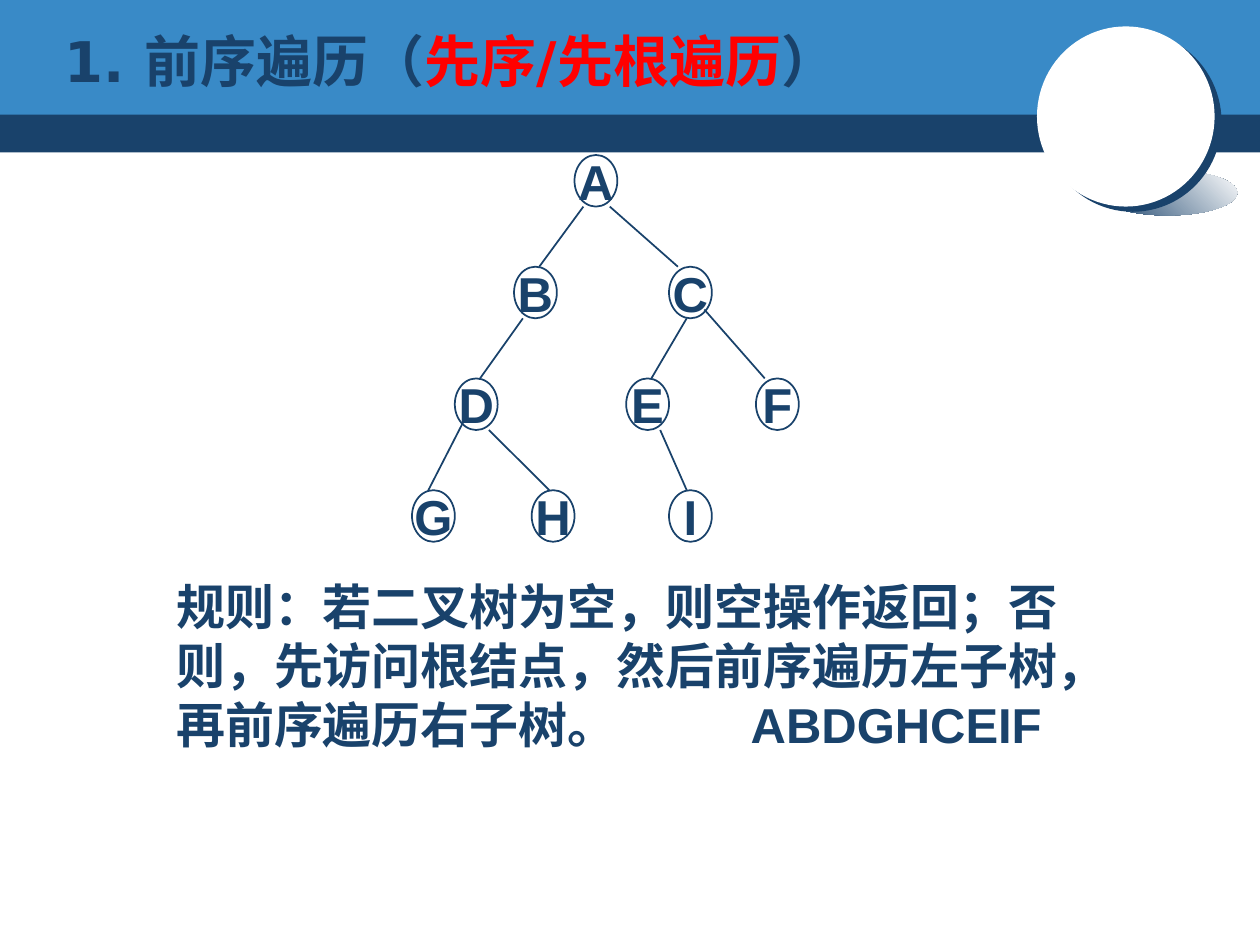
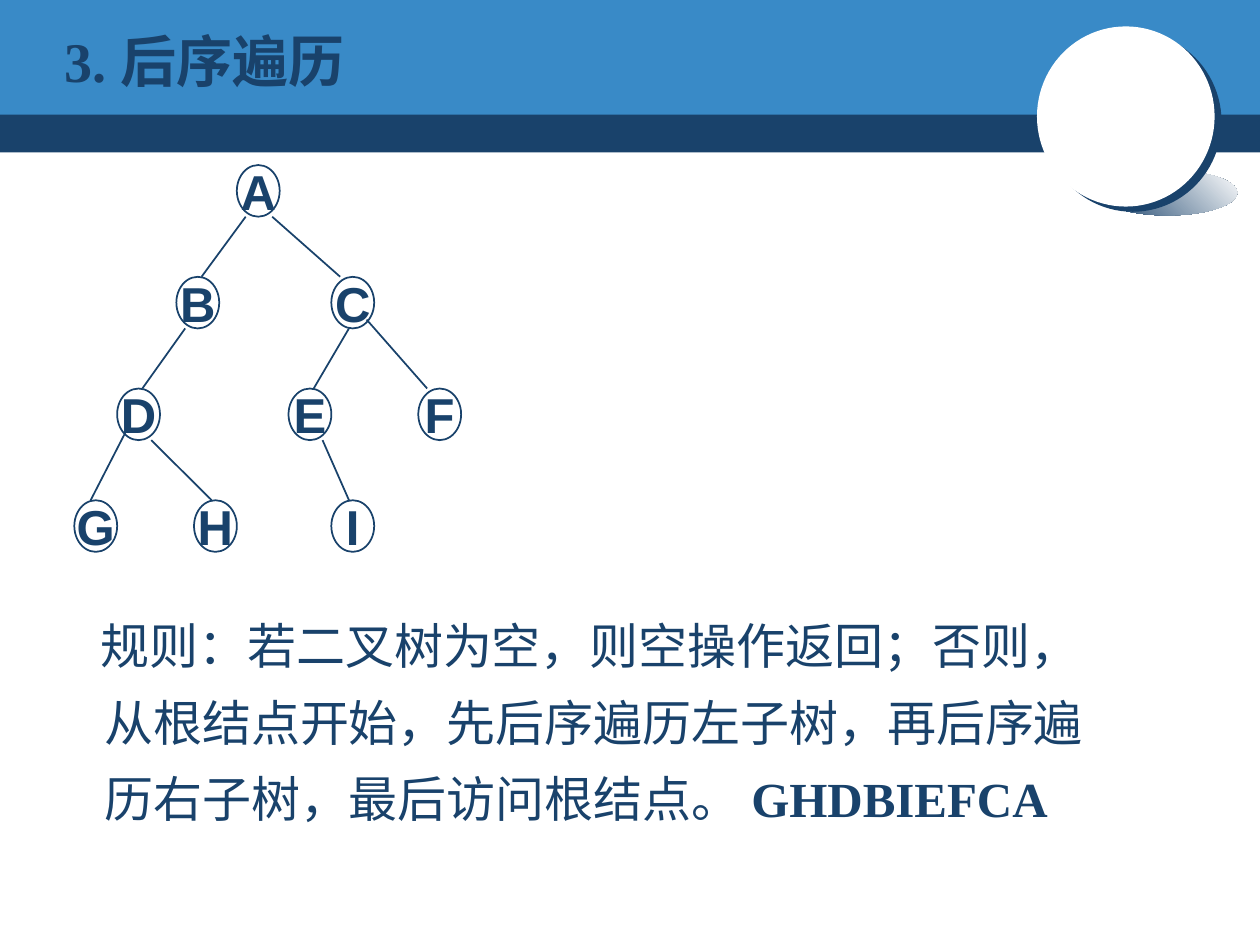
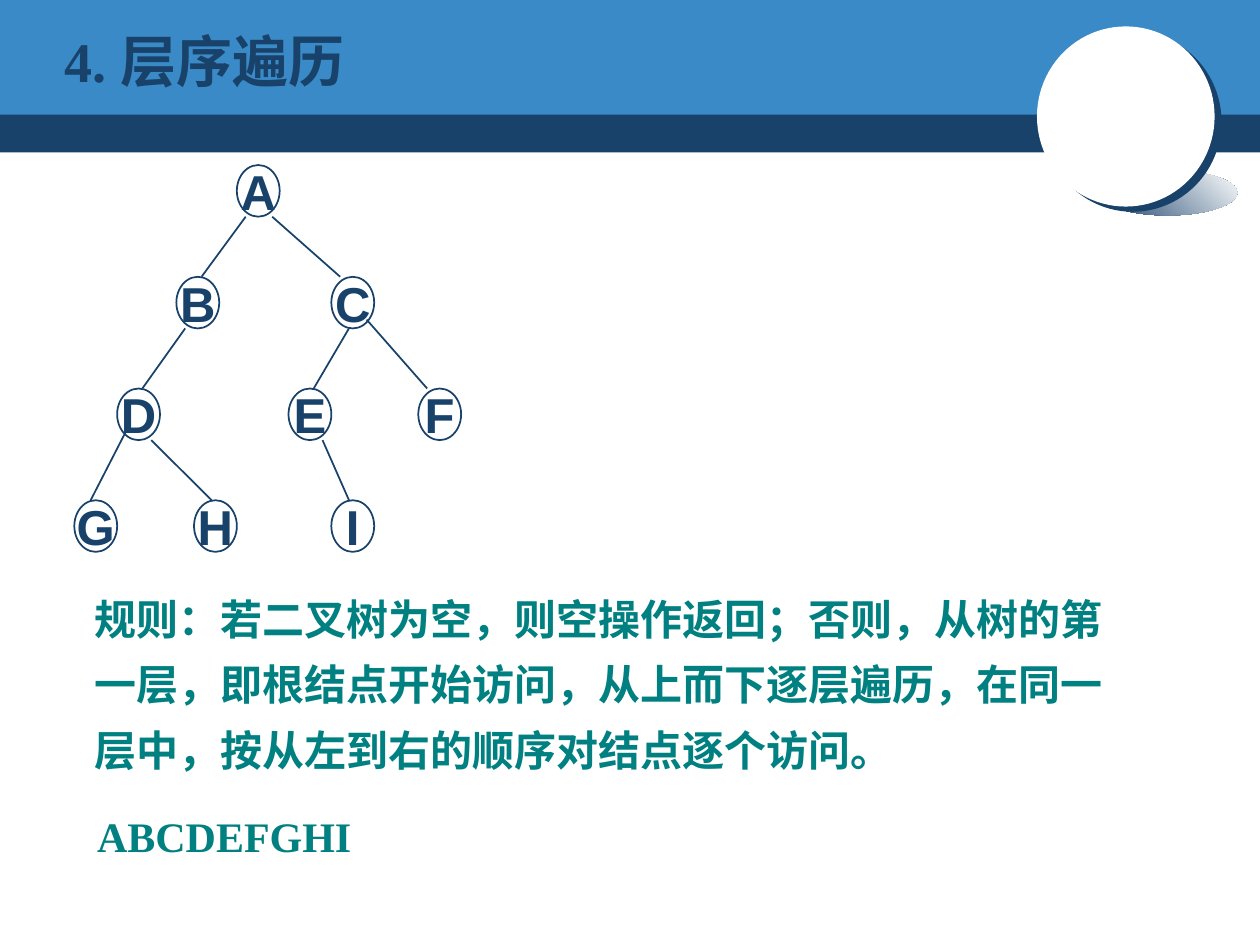
from lxml.etree import SubElement
from pptx import Presentation
from pptx.dml.color import RGBColor
from pptx.enum.shapes import MSO_CONNECTOR, MSO_SHAPE
from pptx.enum.text import MSO_ANCHOR, MSO_AUTO_SIZE, PP_ALIGN
from pptx.oxml.ns import qn
from pptx.util import Inches, Pt

COLORS = {"navy": "19426B", "blue": "398AC7", "white": "FFFFFF",
          "red": "FF0000", "teal": "008080"}

NODE_WIDTH, NODE_HEIGHT, ROW_STEP = 0.34, 0.41, 2.66 / 3
# name: (left within the tree, row)
NODES = {"A": (1.29, 0), "B": (0.81, 1), "C": (2.04, 1),
         "D": (0.34, 2), "E": (1.7, 2), "F": (2.73, 2),
         "G": (0, 3), "H": (0.95, 3), "I": (2.04, 3)}
# parent, start offset (x, y) in the parent, child, end offset x in the child
EDGES = [("A", 0.07, 0.41, "B", 0.2), ("A", 0.28, 0.41, "C", 0.07),
         ("B", 0.07, 0.41, "D", 0.2), ("C", 0.14, 0.41, "E", 0.2),
         ("C", 0.28, 0.34, "F", 0.07), ("D", 0.07, 0.34, "G", 0.13),
         ("D", 0.27, 0.41, "H", 0.14), ("E", 0.27, 0.41, "I", 0.14)]


def add_span(para, text, size=28, font="Arial", color="navy", bold=True):
    span = para.add_run()
    span.text = text
    span.font.size = Pt(size)
    span.font.name = font
    span.font.bold = bold
    span.font.color.rgb = RGBColor.from_string(COLORS[color])


def format_rule(para, first_line, space):
    """Set the left margin, the wide line spacing and no bullet."""
    para.line_spacing = 1.3
    para.space_before = Pt(space)
    props = para._p.get_or_add_pPr()
    props.set("marL", str(Inches(0.38)))
    props.set("indent", str(Inches(first_line)))
    SubElement(props, qn("a:buNone"))


deck = Presentation()
deck.slide_width, deck.slide_height = Inches(10), Inches(7.5)
title_only, title_and_body = deck.slide_layouts[5], deck.slide_layouts[1]

slides = [
    (title_only, "DejaVu Sans", (3.27, 1.23),
     [("1. 前序遍历（", "navy"), ("先序/先根遍历", "red"), ("）", "navy")]),
    (title_only, "Times New Roman", (0.59, 1.31), [("3. 后序遍历", "navy")]),
    (title_and_body, "Times New Roman", (0.59, 1.31), [("4. 层序遍历", "navy")]),
]

pages = []
for layout, title_font, (tree_left, tree_top), title_spans in slides:
    page = deck.slides.add_slide(layout)
    pages.append(page)

    title = page.shapes.title
    title.left, title.top = Inches(0.41), Inches(0.17)
    title.width, title.height = Inches(8.08), Inches(0.62)
    title.text_frame.auto_size = MSO_AUTO_SIZE.NONE
    title.text_frame.vertical_anchor = MSO_ANCHOR.MIDDLE
    para = title.text_frame.paragraphs[0]
    para.alignment = PP_ALIGN.LEFT
    for text, color in title_spans:
        add_span(para, text, size=32, font=title_font, color=color)

    tree = page.shapes.add_group_shape()
    corners = {name: (tree_left + left, tree_top + row * ROW_STEP)
               for name, (left, row) in NODES.items()}
    for name, (left, top) in corners.items():
        node = tree.shapes.add_shape(MSO_SHAPE.OVAL, Inches(left), Inches(top),
                                     Inches(NODE_WIDTH), Inches(NODE_HEIGHT))
        node.shadow.inherit = False
        node.fill.background()
        node.line.color.rgb = RGBColor.from_string(COLORS["navy"])
        node.line.width = Pt(1)
        node.text_frame.word_wrap = False
        node.text_frame.vertical_anchor = MSO_ANCHOR.MIDDLE
        para = node.text_frame.paragraphs[0]
        para.alignment = PP_ALIGN.CENTER
        add_span(para, name)
    for parent, start_x, start_y, child, end_x in EDGES:
        parent_left, parent_top = corners[parent]
        child_left, child_top = corners[child]
        edge = tree.shapes.add_connector(
            MSO_CONNECTOR.STRAIGHT,
            Inches(parent_left + start_x), Inches(parent_top + start_y),
            Inches(child_left + end_x), Inches(child_top))
        edge.line.color.rgb = RGBColor.from_string(COLORS["navy"])
        edge.line.width = Pt(1)
        SubElement(edge._element.spPr, qn("a:effectLst"))

preorder_page, postorder_page, level_page = pages

# Bands and disc are drawn once and moved to the slide master
master_tree = deck.slide_master.shapes._spTree
decor = {}
for index, (name, kind, left, top, width, height, color) in enumerate([
        ("lower band", MSO_SHAPE.RECTANGLE, 0, 0.87, 10, 0.34, "navy"),
        ("upper band", MSO_SHAPE.RECTANGLE, 0, 0, 10, 0.91, "blue"),
        ("disc shade", MSO_SHAPE.OVAL, 8.71, 1.35, 1.11, 0.36, "navy"),
        ("disc", MSO_SHAPE.OVAL, 8.23, 0.21, 1.41, 1.43, "white")]):
    shape = preorder_page.shapes.add_shape(
        kind, Inches(left), Inches(top), Inches(width), Inches(height))
    shape.shadow.inherit = False
    shape.line.fill.background()
    shape.fill.solid()
    shape.fill.fore_color.rgb = RGBColor.from_string(COLORS[color])
    shape._element.nvSpPr.cNvPr.set("id", str(20 + index))
    master_tree.insert(2 + index, shape._element)
    decor[name] = shape

shade_fill = decor["disc shade"].fill
shade_fill.gradient()
shade_fill.gradient_angle = 45
for stop, position, color in zip(shade_fill.gradient_stops, (0, 1), ("navy", "white")):
    stop.position = position
    stop.color.rgb = RGBColor.from_string(COLORS[color])

effects = decor["disc"]._element.spPr.find(qn("a:effectLst"))
shadow = SubElement(effects, qn("a:outerShdw"), blurRad="0", dist=str(Pt(5)),
                    dir=str(37 * 60000), algn="ctr", rotWithShape="0")
SubElement(shadow, qn("a:srgbClr"), val=COLORS["navy"])

# Preorder rule
box = preorder_page.shapes.add_textbox(Inches(1.3), Inches(4.53), Inches(7.48), Inches(1.51))
box.text_frame.word_wrap = True
box.text_frame.auto_size = MSO_AUTO_SIZE.SHAPE_TO_FIT_TEXT
para = box.text_frame.paragraphs[0]
add_span(para, "规则：若二叉树为空，则空操作返回；否则，先访问根结点，"
               "然后前序遍历左子树，再前序遍历右子树。\tABDGHCEIF")
tabs = SubElement(para._p.get_or_add_pPr(), qn("a:tabLst"))
SubElement(tabs, qn("a:tab"), pos=str(Inches(4.56)), algn="l")

# Postorder rule
box = postorder_page.shapes.add_textbox(Inches(0.35), Inches(4.7), Inches(8.66), Inches(2.4))
box.text_frame.word_wrap = True
para = box.text_frame.paragraphs[0]
format_rule(para, first_line=-0.03, space=14)
add_span(para, "规则：若二叉树为空，则空操作返回；否则，从根结点开始，"
               "先后序遍历左子树，再后序遍历右子树，最后访问根结点。 ", bold=False)
add_span(para, "GHDBIEFCA", font="Times New Roman")

# Level-order rule
body = level_page.placeholders[1]
body.left, body.top = Inches(0.27), Inches(4.54)
body.width, body.height = Inches(8.66), Inches(2.73)
frame = body.text_frame
frame.auto_size = MSO_AUTO_SIZE.NONE
for para, first_line, text in [
        (frame.paragraphs[0], 0,
         "规则：若二叉树为空，则空操作返回；否则，从树的第一层，即根结点开始访问，"
         "从上而下逐层遍历，在同一层中，按从左到右的顺序对结点逐个访问。"),
        (frame.add_paragraph(), 0.02, "ABCDEFGHI")]:
    format_rule(para, first_line, space=12)
    add_span(para, text, size=24, font="Times New Roman", color="teal")

deck.save("out.pptx")
